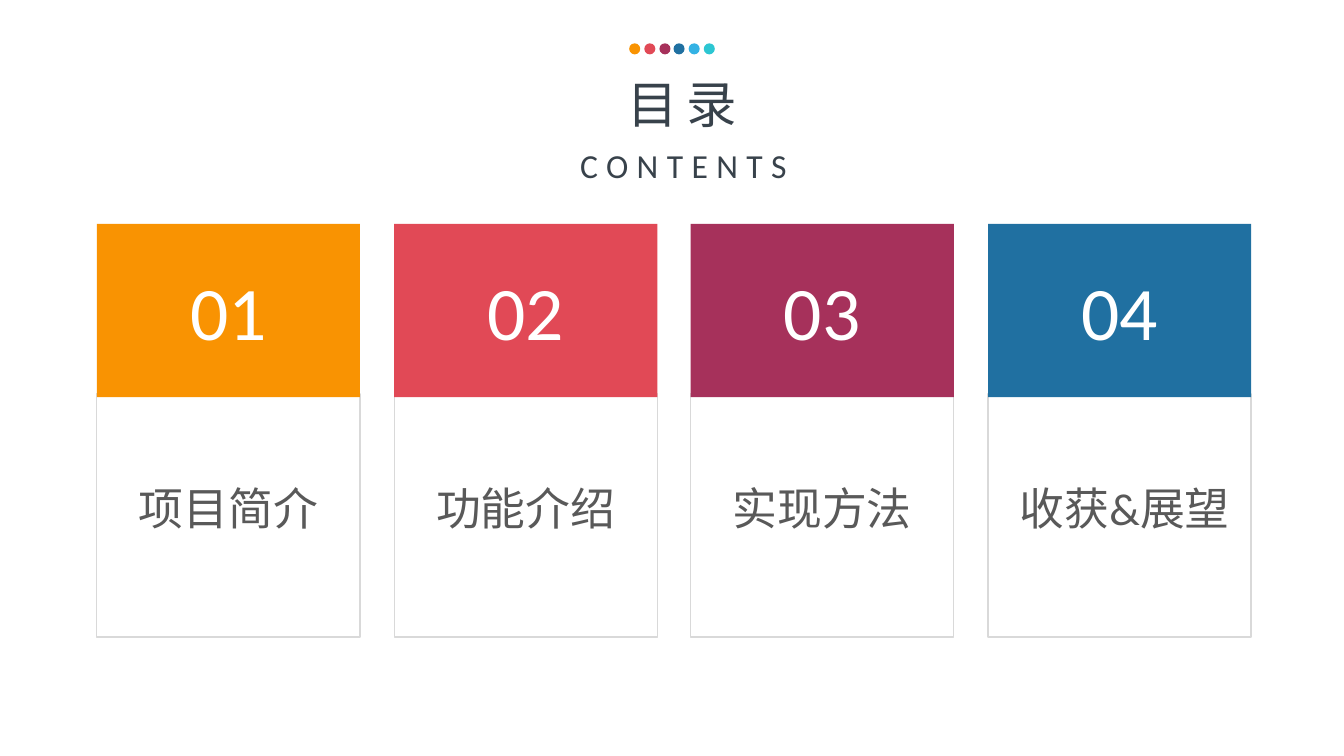
from dataclasses import dataclass

from pptx import Presentation
from pptx.dml.color import RGBColor
from pptx.enum.shapes import MSO_SHAPE
from pptx.enum.text import MSO_ANCHOR, MSO_AUTO_SIZE, PP_ALIGN
from pptx.shapes.autoshape import Shape
from pptx.slide import Slide
from pptx.text.text import TextFrame
from pptx.util import Emu, Pt

PX = 9144  # EMU per px, 100 px to the inch
FONT = "Calibri"
WHITE, INK, GREY, RULE = "FFFFFF", "38424B", "595959", "D9D9D9"
DOTS = ["F99302", "E14956", "A6315B", "2070A1", "34B2E4", "2CC6D2"]


@dataclass
class Box:
    left: int
    top: int
    width: int
    height: int

    def emu(self) -> list[Emu]:
        return [Emu(n * PX) for n in (self.left, self.top, self.width, self.height)]


@dataclass
class Card:
    number: str
    title: str
    color: str
    width: int = 219  # of the title box


CARDS = [
    Card("01", "项目简介", DOTS[0]),
    Card("02", "功能介绍", DOTS[1]),
    Card("03", "实现方法", DOTS[2]),
    Card("04", "收获&展望", DOTS[3], 229),
]


def rgb(color: str) -> RGBColor:
    return RGBColor.from_string(color)


def style(frame: TextFrame, size: int, color: str, gap: int = 0) -> None:
    """Centre the first paragraph and format its runs; gap is letter spacing in points."""
    line = frame.paragraphs[0]
    line.alignment = PP_ALIGN.CENTER
    for run in line.runs:
        run.font.name = FONT
        run.font.size = Pt(size)
        run.font.color.rgb = rgb(color)
        if gap:
            run.font._rPr.set("spc", str(gap * 100))


def add_text(slide: Slide, box: Box, text: str, wrap: bool) -> TextFrame:
    frame = slide.shapes.add_textbox(*box.emu()).text_frame
    frame.word_wrap = wrap
    frame.auto_size = MSO_AUTO_SIZE.SHAPE_TO_FIT_TEXT
    frame.text = text
    return frame


def paint(shape: Shape, color: str) -> None:
    shape.shadow.inherit = False
    shape.fill.solid()
    shape.fill.fore_color.rgb = rgb(color)
    shape.line.fill.background()


def add_card(slide: Slide, card: Card, left: int) -> None:
    # Outlined lower part
    panel = slide.shapes.add_shape(MSO_SHAPE.RECTANGLE, *Box(left, 391, 261, 241).emu())
    panel.shadow.inherit = False
    panel.fill.background()
    panel.line.color.rgb = rgb(RULE)
    panel.line.width = Pt(1)

    # Title
    frame = add_text(slide, Box(left + 21, 445, card.width, 82), card.title, True)
    frame.paragraphs[0].line_spacing = 1.5
    style(frame, 32, GREY)

    # Numbered tile
    tile = slide.shapes.add_shape(MSO_SHAPE.RECTANGLE, *Box(left, 222, 261, 172).emu())
    paint(tile, card.color)
    tile.text_frame.text = card.number
    tile.text_frame.vertical_anchor = MSO_ANCHOR.MIDDLE
    style(tile.text_frame, 54, WHITE)


def main() -> None:
    deck = Presentation()
    deck.slide_width, deck.slide_height = Emu(1333 * PX), Emu(750 * PX)
    slide = deck.slides.add_slide(deck.slide_layouts[6])

    # Row of dots
    group = slide.shapes.add_group_shape()
    for i, color in enumerate(DOTS):
        box = Box(624 + round(i * 74 / 5), 43, 11, 11)
        paint(group.shapes.add_shape(MSO_SHAPE.OVAL, *box.emu()), color)

    # Heading in two languages
    head = add_text(slide, Box(588, 68, 158, 71), " 目录", False)
    style(head, 36, INK, 6)
    sub = add_text(slide, Box(541, 122, 254, 71), " ", False)
    word = sub.paragraphs[0].add_run()
    word.text = "CONTENTS"
    style(sub, 36, INK, 6)
    word.font.size = Pt(24)

    # Cards
    for i, card in enumerate(CARDS):
        add_card(slide, card, 96 + round(i * 884 / 3))

    deck.save("out.pptx")


if __name__ == "__main__":
    main()
